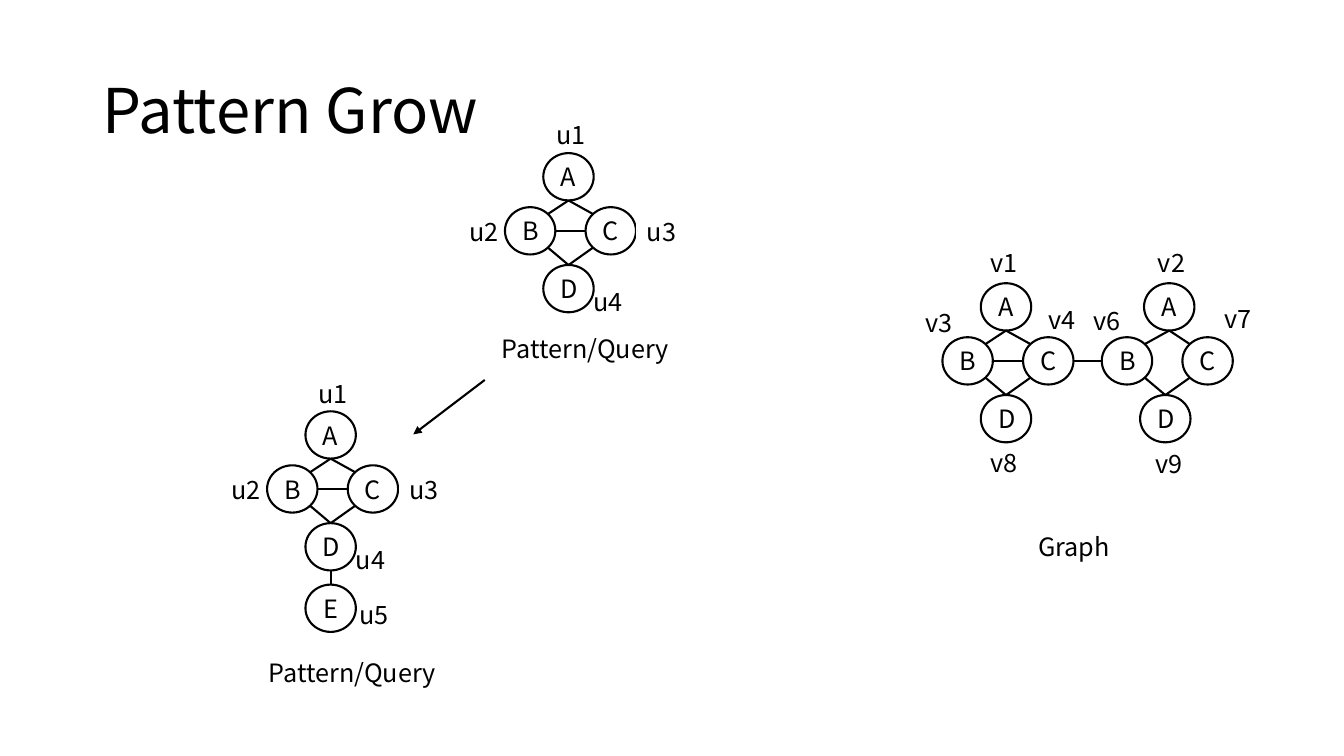
from lxml import etree
from pptx import Presentation
from pptx.dml.color import RGBColor
from pptx.enum.shapes import MSO_CONNECTOR, MSO_SHAPE
from pptx.enum.text import MSO_ANCHOR, PP_ALIGN
from pptx.oxml.ns import qn
from pptx.util import Pt

STRAIGHT = MSO_CONNECTOR.STRAIGHT
OVAL, RECTANGLE = MSO_SHAPE.OVAL, MSO_SHAPE.RECTANGLE
TOP, MIDDLE = MSO_ANCHOR.TOP, MSO_ANCHOR.MIDDLE
LEFT, CENTER = PP_ALIGN.LEFT, PP_ALIGN.CENTER

NODE_WIDTH, NODE_HEIGHT = 36, 33.8
LABEL_WIDTH, LABEL_HEIGHT, CAPTION_WIDTH = 44.6, 28.8, 134
# Offsets inside a diamond of four nodes
APEX_X, SIDE_X, SIDE_Y, BASE_Y, TAIL_Y = 27.4, 57.6, 38.6, 79.9, 123.8
# Distance from a node's box to its outline on the diagonals
INSET_X, INSET_Y = 5.3, 4.9


def color(value):
    return RGBColor.from_string(value)


class GraphSlide:
    font, ink, paper = "Noto Sans CJK SC", "000000", "FFFFFF"
    size, line_width = 18, 1.5

    def __init__(self, page):
        self.page = page

    def set_text(self, box, text, size, align=LEFT, anchor=TOP):
        frame = box.text_frame
        frame.word_wrap = True
        frame.vertical_anchor = anchor
        para = frame.paragraphs[0]
        para.text = text
        para.alignment = align
        para.font.name = self.font
        para.font.size = Pt(size)
        para.font.color.rgb = color(self.ink)
        return para

    def label(self, text, x, y, width=LABEL_WIDTH):
        box = self.page.shapes.add_textbox(Pt(x), Pt(y), Pt(width), Pt(LABEL_HEIGHT))
        self.set_text(box, text, self.size)

    def title(self, text):
        box = self.page.shapes.add_textbox(Pt(66), Pt(28.8), Pt(828), Pt(104.4))
        self.set_text(box, text, 44, anchor=MIDDLE).line_spacing = 0.9

    def framed_label(self, text, x, y):
        """Label with a thin outline in the background colour."""
        box = self.page.shapes.add_shape(
            RECTANGLE, Pt(x), Pt(y), Pt(LABEL_WIDTH), Pt(LABEL_HEIGHT))
        box.shadow.inherit = False
        box.fill.background()
        box.line.color.rgb = color(self.paper)
        box.line.width = Pt(0.75)
        self.set_text(box, text, self.size)

    def node(self, letter, x, y):
        oval = self.page.shapes.add_shape(
            OVAL, Pt(x), Pt(y), Pt(NODE_WIDTH), Pt(NODE_HEIGHT))
        oval.shadow.inherit = False
        oval.fill.solid()
        oval.fill.fore_color.rgb = color(self.paper)
        oval.line.color.rgb = color(self.ink)
        oval.line.width = Pt(self.line_width)
        self.set_text(oval, letter, self.size, CENTER, MIDDLE)

    def edge(self, start, end, arrow=False):
        edge = self.page.shapes.add_connector(
            STRAIGHT, Pt(start[0]), Pt(start[1]), Pt(end[0]), Pt(end[1]))
        edge.line.color.rgb = color(self.ink)
        edge.line.width = Pt(self.line_width)
        properties = edge.element.spPr
        if arrow:
            outline = properties.find(qn("a:ln"))
            etree.SubElement(outline, qn("a:tailEnd"), type="triangle")
        etree.SubElement(properties, qn("a:effectLst"))

    def diamond(self, x, y, apex_x=APEX_X, bridged=True):
        """Nodes A to D, with B and C joined when bridged."""
        for letter, dx, dy in (("A", apex_x, 0), ("C", SIDE_X, SIDE_Y),
                               ("B", 0, SIDE_Y), ("D", APEX_X, BASE_Y)):
            self.node(letter, x + dx, y + dy)
        apex = (x + apex_x + NODE_WIDTH / 2, y + NODE_HEIGHT)
        base = (x + APEX_X + NODE_WIDTH / 2, y + BASE_Y)
        upper = y + SIDE_Y + INSET_Y
        lower = y + SIDE_Y + NODE_HEIGHT - INSET_Y
        for side in (x + NODE_WIDTH - INSET_X, x + SIDE_X + INSET_X):
            self.edge(apex, (side, upper))
            self.edge((side, lower), base)
        if bridged:
            middle = y + SIDE_Y + NODE_HEIGHT / 2
            self.edge((x + SIDE_X, middle), (x + NODE_WIDTH, middle))

    def pattern(self, x, y):
        """Bridged diamond with the labels u1 to u4."""
        self.diamond(x, y)
        for text, dx, dy in (("u1", 29.5, -27.4), ("u2", -32.4, 41.3), ("u4", 56.2, 91.5)):
            self.label(text, x + dx, y + dy)
        self.framed_label("u3", x + 94.3, y + 41.3)

    def tail(self, x, y):
        """Node E hanging below node D of the pattern at x, y."""
        center = x + APEX_X + NODE_WIDTH / 2
        self.node("E", x + APEX_X, y + TAIL_Y)
        self.edge((center, y + TAIL_Y), (center, y + BASE_Y + NODE_HEIGHT))
        self.label("u5", x + 59, y + 131)


def main():
    deck = Presentation()
    deck.slide_width, deck.slide_height = Pt(960), Pt(540)
    slide = GraphSlide(deck.slides.add_slide(deck.slide_layouts[6]))

    graph_left, graph_right, graph_top = 673.2, 787, 202.3
    slide.diamond(graph_left, graph_top)
    slide.diamond(graph_right, graph_top, apex_x=30.2, bridged=False)
    middle = graph_top + SIDE_Y + NODE_HEIGHT / 2
    slide.edge((graph_right, middle), (graph_left + SIDE_X + NODE_WIDTH, middle))
    for text, x, y in (
            ("v1", 700.6, 172.8), ("v2", 820, 172.8), ("v3", 653.8, 216),
            ("v4", 741.6, 213.8), ("v6", 774, 214.6), ("v7", 867.6, 213.1),
            ("v8", 700.6, 316.1), ("v9", 818, 316.6)):
        slide.label(text, x, y)
    slide.label("Graph", 734.4, 375.8, CAPTION_WIDTH)

    slide.title("Pattern Grow")

    grown = (190.8, 293.8)
    slide.pattern(*grown)
    slide.tail(*grown)
    slide.label("Pattern/Query", 185, 465.8, CAPTION_WIDTH)

    slide.pattern(360.7, 109.4)
    slide.label("Pattern/Query", 351.4, 234.7, CAPTION_WIDTH)
    slide.edge((346.3, 271.4), (295.2, 310.3), arrow=True)

    deck.save("out.pptx")


if __name__ == "__main__":
    main()
